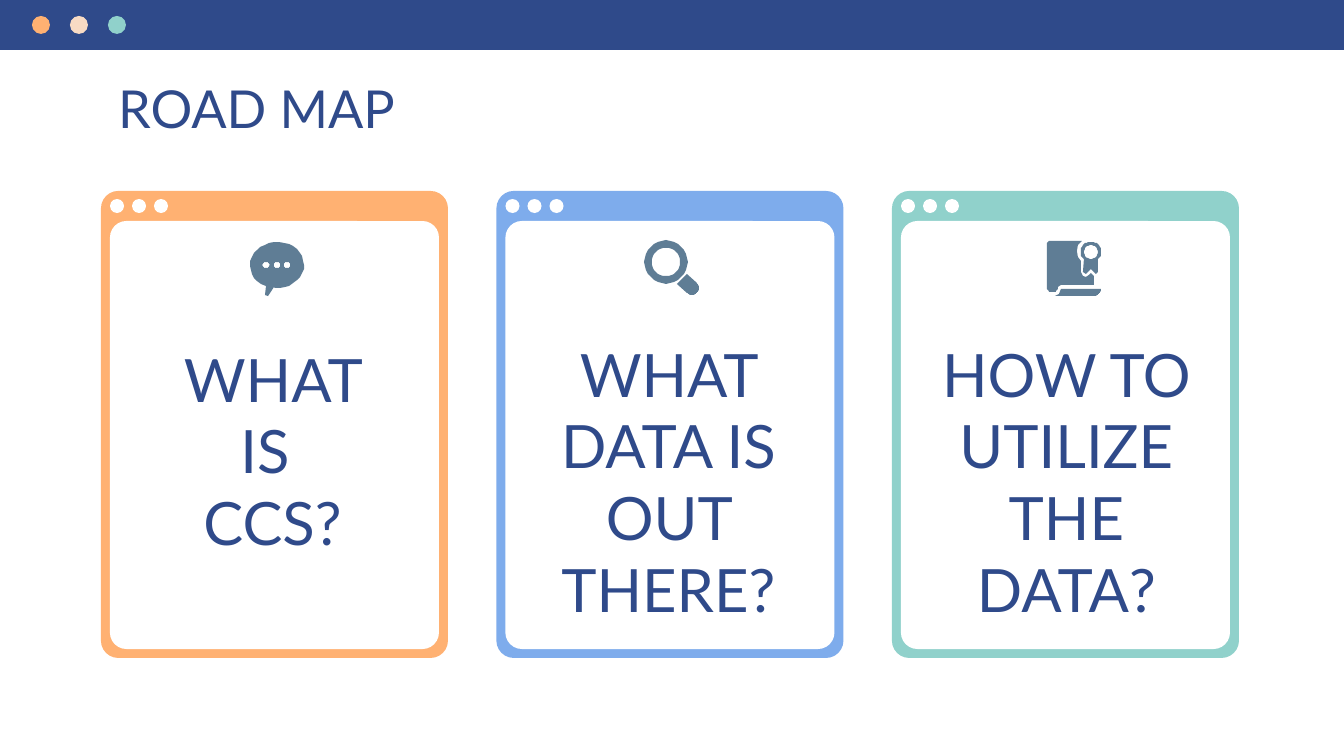
from dataclasses import dataclass
from math import cos, radians, sin

from pptx import Presentation
from pptx.dml.color import RGBColor
from pptx.enum.shapes import MSO_SHAPE as Shape
from pptx.enum.text import MSO_ANCHOR, PP_ALIGN
from pptx.util import Pt

PX = 914400 / 134.4


@dataclass(frozen=True)
class Theme:
    font: str = "Lato"
    title_size: int = 28
    card_size: int = 32
    navy: str = "2F4A8A"
    orange: str = "FFB172"
    cream: str = "F8DBC4"
    teal: str = "90D1CB"
    blue: str = "7EACEC"
    slate: str = "5F7D95"
    white: str = "FFFFFF"


theme = Theme()


def arc(cx, cy, rx, ry, start, end, steps=32):
    """Points along an ellipse, in degrees clockwise from the right."""
    angles = [radians(start + (end - start) * i / steps) for i in range(steps + 1)]
    return [(cx + rx * cos(a), cy + ry * sin(a)) for a in angles]


def ring_hole(cx, cy, radius):
    return arc(cx, cy, radius, radius, 360, 0)


# Each icon is a list of parts, each part a list of contours in px.
SPEECH_ICON = [
    [arc(27, 24, 27, 23, 115, 455) + [(24, 46), (18, 55), (15, 54)]]
    + [ring_hole(x, 24, 3.5) for x in (16, 27, 37)],
]
SEARCH_ICON = [
    [arc(22, 22, 21.5, 21.5, 0, 360), ring_hole(22, 22, 14.5)],
    [[(43, 34)] + arc(48, 48, 7, 7, -45, 135) + [(33, 44)]],
]
CERTIFICATE_ICON = [
    [arc(44, 11, 10.5, 10.5, 135, 405)
     + [(51, 31), (49, 33), (44, 28), (39, 33), (36, 31)],
     ring_hole(44, 11, 7)],
    [[(14, 48), (54, 48)] + arc(47, 48, 7, 7, 0, 90) + [(8, 55), (12, 53)]],
    [[(2, 0), (35, 0), (31, 4), (30, 10), (31, 16), (34, 20), (34, 31),
      (36, 35), (39, 36), (42, 34), (44, 32), (47, 35), (47, 44), (14, 44),
      (11, 46)] + arc(5.5, 46, 5.5, 5.5, 0, 180) + [(0, 2)]],
]

TITLE = ("ROAD MAP", (105, 63, 1134, 69))
BAR_DOTS = [theme.orange, theme.cream, theme.teal]
CARDS = [
    dict(text="WHAT IS \vCCS?", box=(153, 329, 239, 297), color=theme.orange,
         icon=SPEECH_ICON, icon_at=(250, 241)),
    dict(text="WHAT DATA IS OUT THERE?", box=(509, 324, 319, 308), color=theme.blue,
         icon=SEARCH_ICON, icon_at=(644, 240)),
    dict(text="HOW TO UTILIZE THE DATA?", box=(902, 324, 329, 327), color=theme.teal,
         icon=CERTIFICATE_ICON, icon_at=(1047, 241)),
]
CARD_LEFT, CARD_TOP, CARD_WIDTH, CARD_HEIGHT = 101, 191, 347, 467
CARD_PITCH = (892 - CARD_LEFT) / 2
FRAME, HEADER = 9, 30


def emu(box):
    return [round(length * PX) for length in box]


def paint(shape, color):
    shape.shadow.inherit = False
    shape.fill.solid()
    shape.fill.fore_color.rgb = RGBColor.from_string(color)
    shape.line.fill.background()


def add_block(slide, preset, box, color, corner=None):
    block = slide.shapes.add_shape(preset, *emu(box))
    if corner is not None:
        block.adjustments[0] = corner
    paint(block, color)


def add_dots(slide, left, top, size, pitch, colors):
    for i, color in enumerate(colors):
        add_block(slide, Shape.OVAL, (left + i * pitch, top, size, size), color)


def add_icon(slide, icon, at):
    for contours in icon:
        builder = None
        for contour in contours:
            start, *rest = [(x + at[0], y + at[1]) for x, y in contour]
            if builder is None:
                builder = slide.shapes.build_freeform(*start, scale=PX)
            else:
                builder.move_to(*start)
            builder.add_line_segments(rest, close=True)
        paint(builder.convert_to_shape(), theme.slate)


def add_text(slide, text, box, size, align):
    frame = slide.shapes.add_textbox(*emu(box)).text_frame
    frame.word_wrap = True
    frame.vertical_anchor = MSO_ANCHOR.TOP
    frame.margin_left = frame.margin_right = Pt(7.2)
    frame.margin_top = frame.margin_bottom = Pt(7.2)
    frame.text = text
    paragraph = frame.paragraphs[0]
    paragraph.alignment = align
    for run in paragraph.runs:
        run.font.name = theme.font
        run.font.size = Pt(size)
        run.font.color.rgb = RGBColor.from_string(theme.navy)


def add_card(slide, left, card):
    add_block(slide, Shape.ROUNDED_RECTANGLE,
              (left, CARD_TOP, CARD_WIDTH, CARD_HEIGHT), card["color"], 0.05)
    add_block(slide, Shape.ROUNDED_RECTANGLE,
              (left + FRAME, CARD_TOP + HEADER, CARD_WIDTH - 2 * FRAME,
               CARD_HEIGHT - HEADER - FRAME), theme.white, 0.05)
    add_dots(slide, left + FRAME, CARD_TOP + 8, 14, 22, [theme.white] * 3)
    add_text(slide, card["text"], card["box"], theme.card_size, PP_ALIGN.CENTER)
    add_icon(slide, card["icon"], card["icon_at"])


def main():
    deck = Presentation()
    deck.slide_width, deck.slide_height = emu((1344, 756))
    slide = deck.slides.add_slide(deck.slide_layouts[6])

    add_text(slide, *TITLE, theme.title_size, PP_ALIGN.LEFT)
    add_block(slide, Shape.RECTANGLE, (0, 0, 1344, 50), theme.navy)
    add_dots(slide, 32, 16, 18, 38, BAR_DOTS)
    for i, card in enumerate(CARDS):
        add_card(slide, CARD_LEFT + i * CARD_PITCH, card)

    deck.save("out.pptx")


if __name__ == "__main__":
    main()
